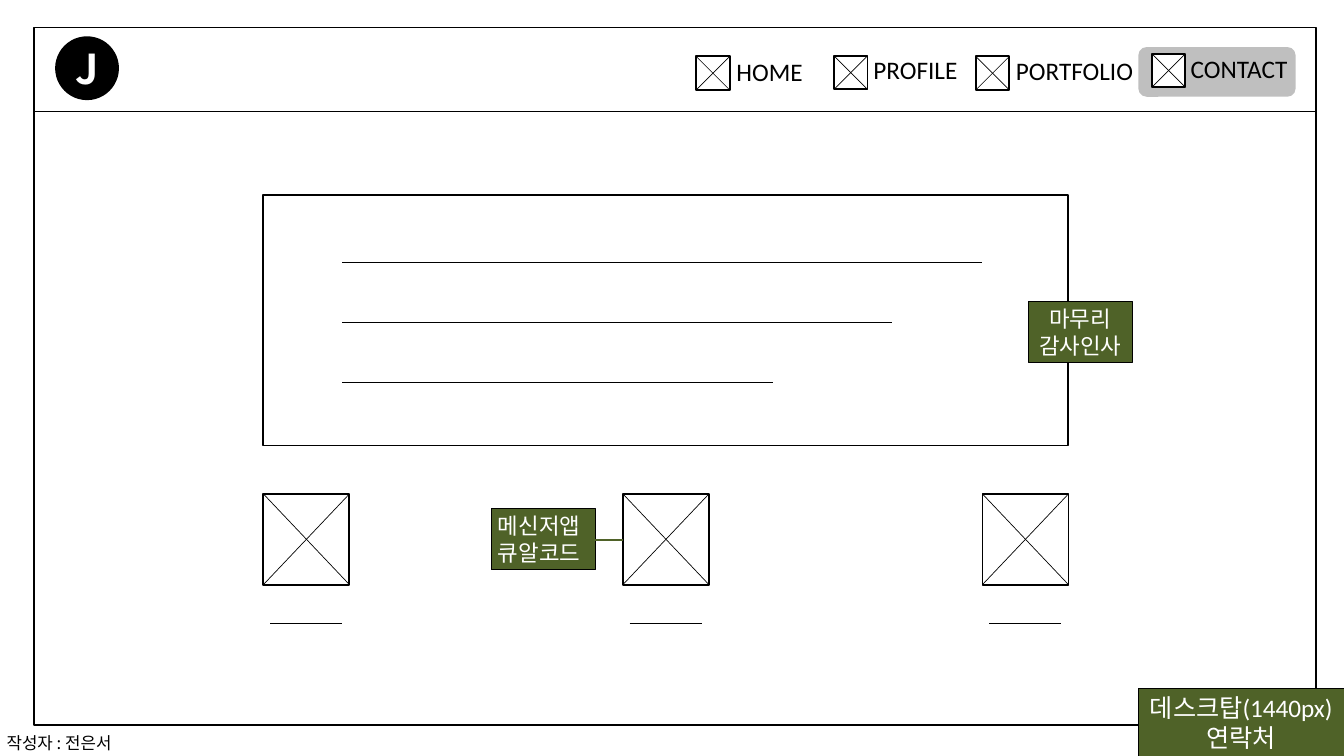
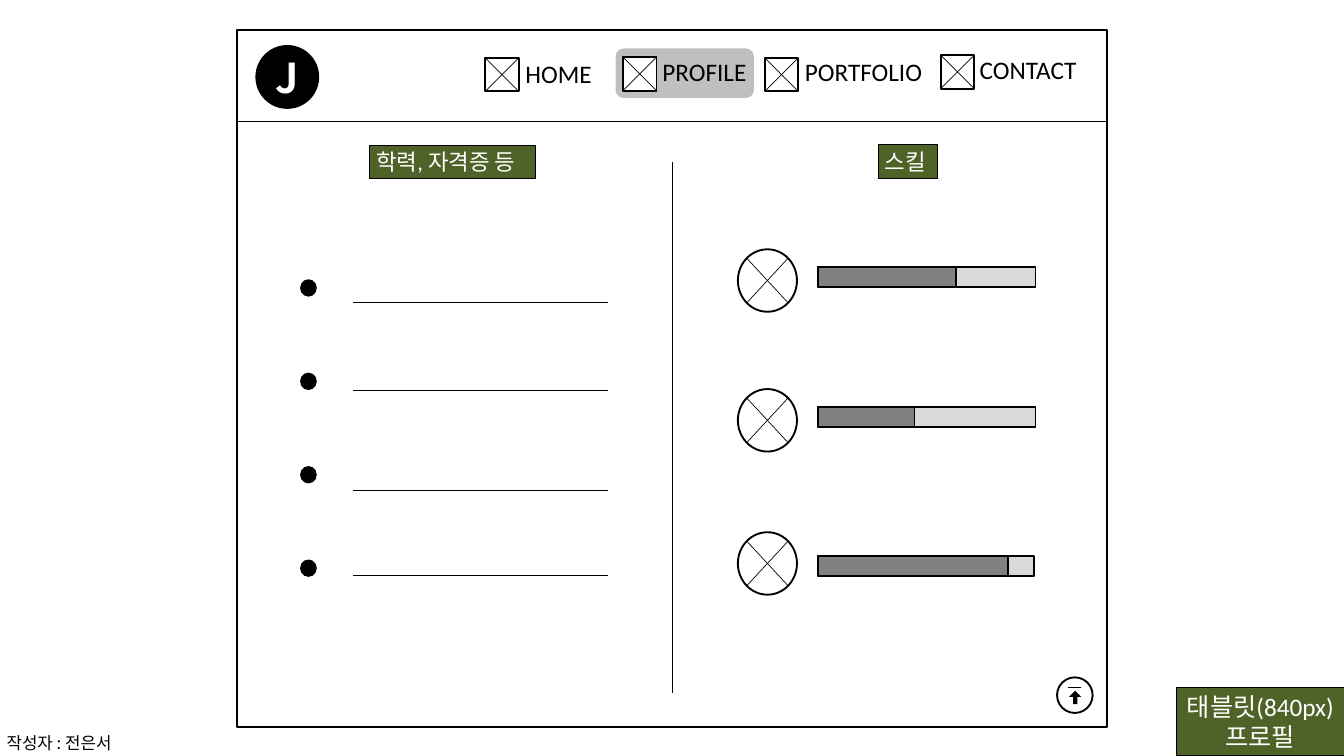
"""Build the desktop contact and tablet profile wireframe slides."""
import pptx
import pptx.dml.color
import pptx.enum.shapes
import pptx.enum.text
import pptx.util
from lxml import etree

PX = 9144
COLORS = {
    "ink": "000000", "paper": "FFFFFF", "label": "4F6228",
    "active": "BFBFBF", "track": "D9D9D9", "bar": "808080",
}
RGB = {k: pptx.dml.color.RGBColor.from_string(v) for k, v in COLORS.items()}
SANS = "Calibri"
KOREAN = "Noto Sans CJK KR"
SHAPE = pptx.enum.shapes.MSO_SHAPE
LEFT = pptx.enum.text.PP_ALIGN.LEFT
CENTER = pptx.enum.text.PP_ALIGN.CENTER
FRAME_H = 1038


def add_line(s, x1, y1, x2, y2, color="ink", width=0.75):
    ends = [v * PX for v in (x1, y1, x2, y2)]
    c = s.shapes.add_connector(pptx.enum.shapes.MSO_CONNECTOR.STRAIGHT, *ends)
    c.line.color.rgb = RGB[color]
    c.line.width = pptx.util.Pt(width)
    etree.SubElement(c._element.spPr, pptx.oxml.ns.qn("a:effectLst"))


def add_box(s, kind, x, y, w, h, fill=None, line=None, text="", size=24,
            color="paper", font=SANS, align=LEFT, bold=False, cross=None):
    pos = [v * PX for v in (x, y, w, h)]
    if kind == "title":
        sp = s.shapes.title
        sp.left, sp.top, sp.width, sp.height = pos
        s.shapes._spTree.append(sp._element)
    elif kind == "text":
        sp = s.shapes.add_textbox(*pos)
    else:
        sp = s.shapes.add_shape(kind, *pos)
    sp.shadow.inherit = False
    if fill:
        sp.fill.solid()
        sp.fill.fore_color.rgb = RGB[fill]
    else:
        sp.fill.background()
    if line:
        sp.line.color.rgb = RGB["ink"]
        sp.line.width = pptx.util.Pt(line)
    else:
        sp.line.fill.background()
    if text:
        tf = sp.text_frame
        tf.text = text
        tf.word_wrap = kind == SHAPE.OVAL
        tf.auto_size = pptx.enum.text.MSO_AUTO_SIZE.NONE
        tf.vertical_anchor = pptx.enum.text.MSO_ANCHOR.MIDDLE
        for p in tf.paragraphs:
            p.alignment = align
            p.font.size = pptx.util.Pt(size)
            p.font.name = font
            p.font.bold = bold
            p.font.color.rgb = RGB[color]
    if cross is not None:
        x1, y1, x2, y2 = x + cross, y + cross, x + w - cross, y + h - cross
        add_line(s, x1, y2, x2, y1)
        add_line(s, x2, y2, x1, y1)
    return sp


prs = pptx.Presentation()
prs.slide_width = 2000 * PX
prs.slide_height = 1125 * PX

NAV = [
    ("HOME", 1036, 84, 1086, 79, 120),
    ("PROFILE", 1241, 83, 1290, 76, 146),
    ("PORTFOLIO", 1452, 84, 1502, 77, 196),
    ("CONTACT", 1714, 80, 1762, 74, 165),
]
PAGES = [
    dict(frame=(50, 41, 1909), rule=165, nav=(0, 0), logo=(82, 54),
         active=(1694, 70, 234), title=(1694, 1024, 306),
         text="데스크탑(1440px)\n연락처"),
    dict(frame=(353, 44, 1294), rule=181, nav=(-314, 2), logo=(380, 67),
         active=(916, 72, 206), title=(1751, 1023, 249),
         text="태블릿(840px)\n프로필"),
]
slides = []
for page in PAGES:
    s = prs.slides.add_slide(prs.slide_layouts[5])
    slides.append(s)
    x, y, w = page["frame"]
    add_box(s, SHAPE.RECTANGLE, x, y, w, FRAME_H, line=2)
    add_line(s, x, page["rule"], x + w, page["rule"])
    add_box(s, SHAPE.ROUNDED_RECTANGLE, *page["active"], 74, fill="active")
    dx, dy = page["nav"]
    for name, icon_x, icon_y, text_x, text_y, text_w in NAV:
        g = s.shapes.add_group_shape()
        add_box(g, SHAPE.RECTANGLE, icon_x + dx, icon_y + dy, 50, 50,
                "paper", 2, cross=0)
        add_box(g, "text", text_x + dx, text_y + dy, text_w, 56,
                text=name, size=27, color="ink")
    add_box(s, SHAPE.OVAL, *page["logo"], 95, 95, "ink", text="J", size=44,
            font=KOREAN, align=CENTER, bold=True)
    add_box(s, "text", 0, 1085, 190, 40, text="작성자 : 전은서", size=18,
            color="ink", font=KOREAN)
    add_box(s, "title", *page["title"], 101, "label", 0.75, page["text"],
            27, align=CENTER)

contact, profile = slides

add_box(contact, SHAPE.RECTANGLE, 392, 290, 1197, 373, line=2)
for y, end in [(390, 1462), (479, 1328), (569, 1150)]:
    add_line(contact, 509, y, end, y)
for i in range(3):
    x = 392 + 535 * i
    g = contact.shapes.add_group_shape()
    add_box(g, SHAPE.RECTANGLE, x, 735, 128, 135, "paper", 2, cross=0)
    add_line(g, x + 10, 927, x + 117, 927)
add_box(contact, SHAPE.RECTANGLE, 1530, 448, 155, 91, "label", 0.75,
        "마무리\n감사인사", align=CENTER)
add_box(contact, SHAPE.RECTANGLE, 731, 757, 155, 91, "label", 0.75,
        "메신저앱\n큐알코드")
add_line(contact, 886, 803, 927, 803, "label", 2.25)

add_line(profile, 1000, 241, 1000, 1031)
for x, y, w, text in [(550, 216, 246, "학력, 자격증 등"), (1307, 215, 88, "스킬")]:
    add_box(profile, SHAPE.RECTANGLE, x, y, w, 50, "label", 0.75, text)
for i, y in enumerate([450, 581, 730, 856]):
    add_box(profile, SHAPE.OVAL, 448, 417 + 139 * i, 22, 23, "ink", 2)
    add_line(profile, 526, y, 905, y)
for icon_y, bar_y, track_w, bar_w in [
        (371, 397, 324, 206), (579, 606, 324, 144), (792, 827, 322, 283)]:
    g = profile.shapes.add_group_shape()
    add_box(g, SHAPE.OVAL, 1098, icon_y, 88, 93, "paper", 2, cross=13)
    add_box(profile, SHAPE.RECTANGLE, 1217, bar_y, track_w, 30, "track", 2)
    add_box(profile, SHAPE.RECTANGLE, 1217, bar_y, bar_w, 30, "bar", 2)

g = profile.shapes.add_group_shape()
add_box(g, SHAPE.OVAL, 1573, 1008, 53, 53, line=2)
arrow = add_box(g, SHAPE.UP_ARROW, 1591, 1028, 18, 20, "ink")
arrow.adjustments[0] = 0.36
add_line(g, 1589, 1023, 1609, 1023, width=1)

prs.save("out.pptx")
